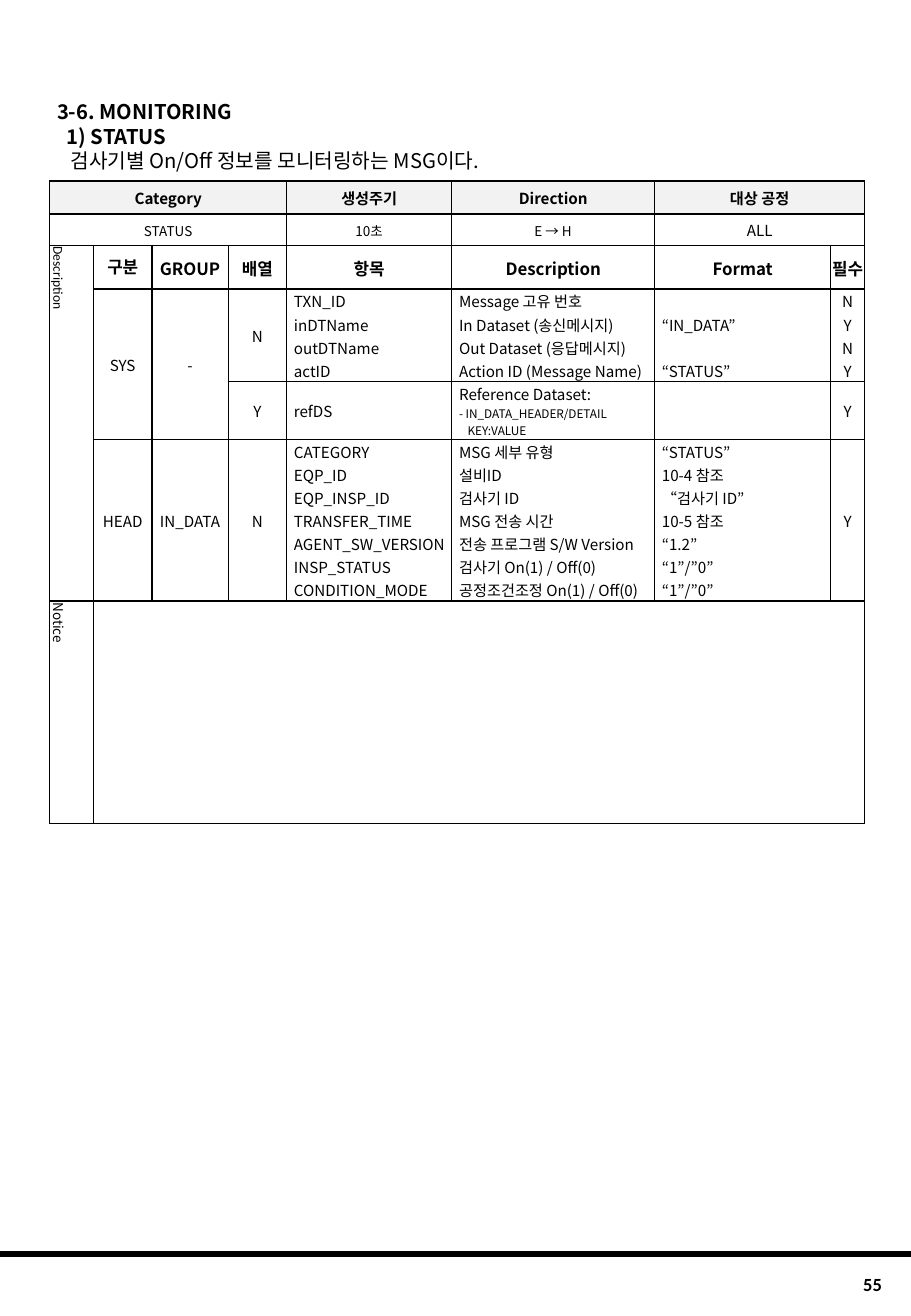
from lxml.etree import SubElement
from pptx import Presentation
from pptx.dml.color import RGBColor
from pptx.enum.shapes import MSO_CONNECTOR as Connector
from pptx.enum.text import MSO_ANCHOR as Anchor, MSO_AUTO_SIZE as AutoSize, PP_ALIGN as Align
from pptx.oxml.ns import qn
from pptx.util import Inches, Pt

BLACK = RGBColor(0x00, 0x00, 0x00)
HEADER_GRAY = RGBColor(0xF2, 0xF2, 0xF2)
KOREAN, LATIN = "Noto Sans CJK KR", "Calibri"

COLUMN_WIDTHS = [0.36, 0.48, 0.63, 0.48, 1.36, 1.67, 1.45, 0.28]
ROW_HEIGHTS = [0.27, 0.26, 0.36] + [0.19] * 4 + [0.48] + [0.19] * 7 + [1.83]
ITEM_COLUMN, REQUIRED_COLUMN = 4, 7
SYS_ROW, REFERENCE_ROW, HEAD_ROW, NOTICE_ROW = 3, 7, 8, 15

CATEGORY_COLUMNS = [0, 4, 5, 6]
CATEGORY_HEADS = ["Category", "생성주기", "Direction", "대상 공정"]
CATEGORY_VALUES = [("STATUS", 8), ("10초", 8), ("E → H", 8), ("ALL", 9)]
FIELD_HEADS = ["구분", "GROUP", "배열", "항목", "Description", "Format", "필수"]
SYS_ITEMS = [
    ("TXN_ID", "Message 고유 번호", "", "N"),
    ("inDTName", "In Dataset (송신메시지)", "“IN_DATA”", "Y"),
    ("outDTName", "Out Dataset (응답메시지)", "", "N"),
    ("actID", "Action ID (Message Name)", "“STATUS”", "Y"),
]
HEAD_ITEMS = [
    ("CATEGORY", "MSG 세부 유형", "“STATUS”"),
    ("EQP_ID", "설비ID", "10-4 참조"),
    ("EQP_INSP_ID", "검사기 ID", "“검사기 ID”"),
    ("TRANSFER_TIME", "MSG 전송 시간", "10-5 참조"),
    ("AGENT_SW_VERSION", "전송 프로그램 S/W Version", "“1.2”"),
    ("INSP_STATUS", "검사기 On(1) / Off(0)", "“1”/”0”"),
    ("CONDITION_MODE", "공정조건조정 On(1) / Off(0)", "“1”/”0”"),
]
# First row, first column, last row, last column
MERGES = [
    (0, 0, 0, 3), (0, 6, 0, 7), (1, 0, 1, 3), (1, 6, 1, 7), (2, 0, 14, 0),
    (3, 1, 7, 1), (3, 2, 7, 2), (3, 3, 6, 3),
    (8, 1, 14, 1), (8, 2, 14, 2), (8, 3, 14, 3), (8, 7, 14, 7), (15, 1, 15, 7),
]


class MessagePage:
    def __init__(self, slide):
        self.slide = slide

    def set_text(self, paragraph, text, size, bold=False, font=KOREAN, align=Align.LEFT, indent=0):
        paragraph.text = text
        paragraph.alignment = align
        properties = paragraph._p.get_or_add_pPr()
        properties.set("marL", str(Inches(indent)))
        properties.set("indent", "0")
        for run in paragraph.runs:
            run.font.name, run.font.size, run.font.bold = font, Pt(size), bold
            run.font.color.rgb = BLACK
            SubElement(run._r.get_or_add_rPr(), qn("a:ea"), typeface=font)

    def place(self, shape, left, top, width, height):
        shape.left, shape.top = Inches(left), Inches(top)
        shape.width, shape.height = Inches(width), Inches(height)

    def title(self, lines, left, top, width, height):
        shape = self.slide.shapes.title
        self.place(shape, left, top, width, height)
        frame = shape.text_frame
        frame.margin_left = frame.margin_right = frame.margin_top = frame.margin_bottom = 0
        frame.vertical_anchor = Anchor.TOP
        frame.auto_size = AutoSize.SHAPE_TO_FIT_TEXT
        frame.text = "\n".join(text for text, _, _ in lines)
        for paragraph, (text, bold, indent) in zip(frame.paragraphs, lines):
            self.set_text(paragraph, text, 12, bold, indent=indent)

    def page_number(self, text, *box):
        shape = self.slide.shapes.add_textbox(*map(Inches, box))
        shape.text_frame.word_wrap = True
        shape.text_frame.vertical_anchor = Anchor.MIDDLE
        self.set_text(shape.text_frame.paragraphs[0], text, 11, True, LATIN, Align.RIGHT)

    def rule(self, y, right, weight):
        line = self.slide.shapes.add_connector(
            Connector.STRAIGHT, 0, Inches(y), Inches(right), Inches(y))
        line.line.color.rgb, line.line.width = BLACK, Pt(weight)
        SubElement(line._element.spPr, qn("a:effectLst"))

    def table(self, left, top):
        shape = self.slide.shapes.add_table(
            len(ROW_HEIGHTS), len(COLUMN_WIDTHS), Inches(left), Inches(top),
            Inches(sum(COLUMN_WIDTHS)), Inches(sum(ROW_HEIGHTS)))
        table = shape.table
        table.first_row = table.horz_banding = False
        for column, width in zip(table.columns, COLUMN_WIDTHS):
            column.width = Inches(width)
        for row, height in zip(table.rows, ROW_HEIGHTS):
            row.height = Inches(height)
        for top_row, first, bottom_row, last in MERGES:
            table.cell(top_row, first).merge(table.cell(bottom_row, last))
        for row in range(len(ROW_HEIGHTS)):
            for column in range(len(COLUMN_WIDTHS)):
                self.format_cell(table.cell(row, column), row, column)
        return table

    def format_cell(self, cell, row, column):
        cell.vertical_anchor = Anchor.MIDDLE
        cell.margin_left = cell.margin_right = cell.margin_top = Inches(0.01)
        cell.margin_bottom = 0
        # Items of one group share a frame without inner horizontal lines
        group = next((rows for rows, last in (
            (range(SYS_ROW, REFERENCE_ROW), REQUIRED_COLUMN),
            (range(HEAD_ROW, NOTICE_ROW), REQUIRED_COLUMN - 1),
        ) if row in rows and ITEM_COLUMN <= column <= last), range(row, row + 1))
        sides = {"L": True, "R": True, "T": row == group[0], "B": row == group[-1]}
        for side, drawn in sides.items():
            border = SubElement(cell._tc.get_or_add_tcPr(), qn(f"a:ln{side}"), w=str(Pt(1)))
            if drawn:
                fill = SubElement(border, qn("a:solidFill"))
                SubElement(fill, qn("a:srgbClr"), val=str(BLACK))
            else:
                SubElement(border, qn("a:noFill"))
        if row == 0:
            cell.fill.solid()
            cell.fill.fore_color.rgb = HEADER_GRAY
        else:
            cell.fill.background()
        # Keeps empty cells from stretching their row
        SubElement(cell.text_frame.paragraphs[0]._p, qn("a:endParaRPr"), sz="900")

    def center(self, cell, text, size=9, bold=False, font=KOREAN):
        self.set_text(cell.text_frame.paragraphs[0], text, size, bold, font, Align.CENTER)

    def item(self, cell, text):
        cell.margin_left = Inches(0.06)
        if text:
            self.set_text(cell.text_frame.paragraphs[0], text, 9)

    def side_label(self, cell, text, font):
        cell._tc.get_or_add_tcPr().set("vert", "vert")
        self.set_text(cell.text_frame.paragraphs[0], text, 8, font=font)


def main():
    presentation = Presentation()
    presentation.slide_width, presentation.slide_height = Inches(7.5), Inches(10.83)
    page = MessagePage(presentation.slides.add_slide(presentation.slide_layouts[5]))

    # Footer rule
    page.rule(10.32, 7.5, 3)

    # Message table: category rows
    table = page.table(0.41, 1.49)
    for column, head, (value, size) in zip(CATEGORY_COLUMNS, CATEGORY_HEADS, CATEGORY_VALUES):
        page.center(table.cell(0, column), head, bold=True)
        page.center(table.cell(1, column), value, size)

    # Field headings and side labels
    for column, head in enumerate(FIELD_HEADS, 1):
        page.center(table.cell(2, column), head, 10, True, LATIN if column == 1 else KOREAN)
    page.side_label(table.cell(2, 0), "Description", LATIN)
    page.side_label(table.cell(NOTICE_ROW, 0), "Notice", KOREAN)

    # Groups
    for row, labels in ((SYS_ROW, ("SYS", "-", "N")), (HEAD_ROW, ("HEAD", "IN_DATA", "N"))):
        for column, label in enumerate(labels, 1):
            page.center(table.cell(row, column), label)
    for first_row, items in ((SYS_ROW, SYS_ITEMS), (HEAD_ROW, HEAD_ITEMS)):
        for row, values in enumerate(items, first_row):
            for column, text in enumerate(values[:3], ITEM_COLUMN):
                page.item(table.cell(row, column), text)
            for required in values[3:]:
                page.center(table.cell(row, REQUIRED_COLUMN), required)
    page.center(table.cell(HEAD_ROW, REQUIRED_COLUMN), "Y")

    # Reference dataset
    page.center(table.cell(REFERENCE_ROW, 3), "Y")
    page.item(table.cell(REFERENCE_ROW, ITEM_COLUMN), "refDS")
    reference = table.cell(REFERENCE_ROW, ITEM_COLUMN + 1)
    page.item(reference, "Reference Dataset:")
    for text, indent in (("- IN_DATA_HEADER/DETAIL", 0), ("KEY:VALUE", 0.07)):
        page.set_text(reference.text_frame.add_paragraph(), text, 7, indent=indent)
    page.center(table.cell(REFERENCE_ROW, REQUIRED_COLUMN), "Y")

    # Page number and headings
    page.page_number("55", 6.18, 10.43, 1.18, 0.28)
    page.title([
        ("3-6. MONITORING", True, 0.07),
        ("1) STATUS", True, 0.15),
        ("검사기별 On/Off 정보를 모니터링하는 MSG이다.", False, 0.18),
    ], 0.4, 0.82, 6.69, 0.61)

    presentation.save("out.pptx")


if __name__ == "__main__":
    main()
